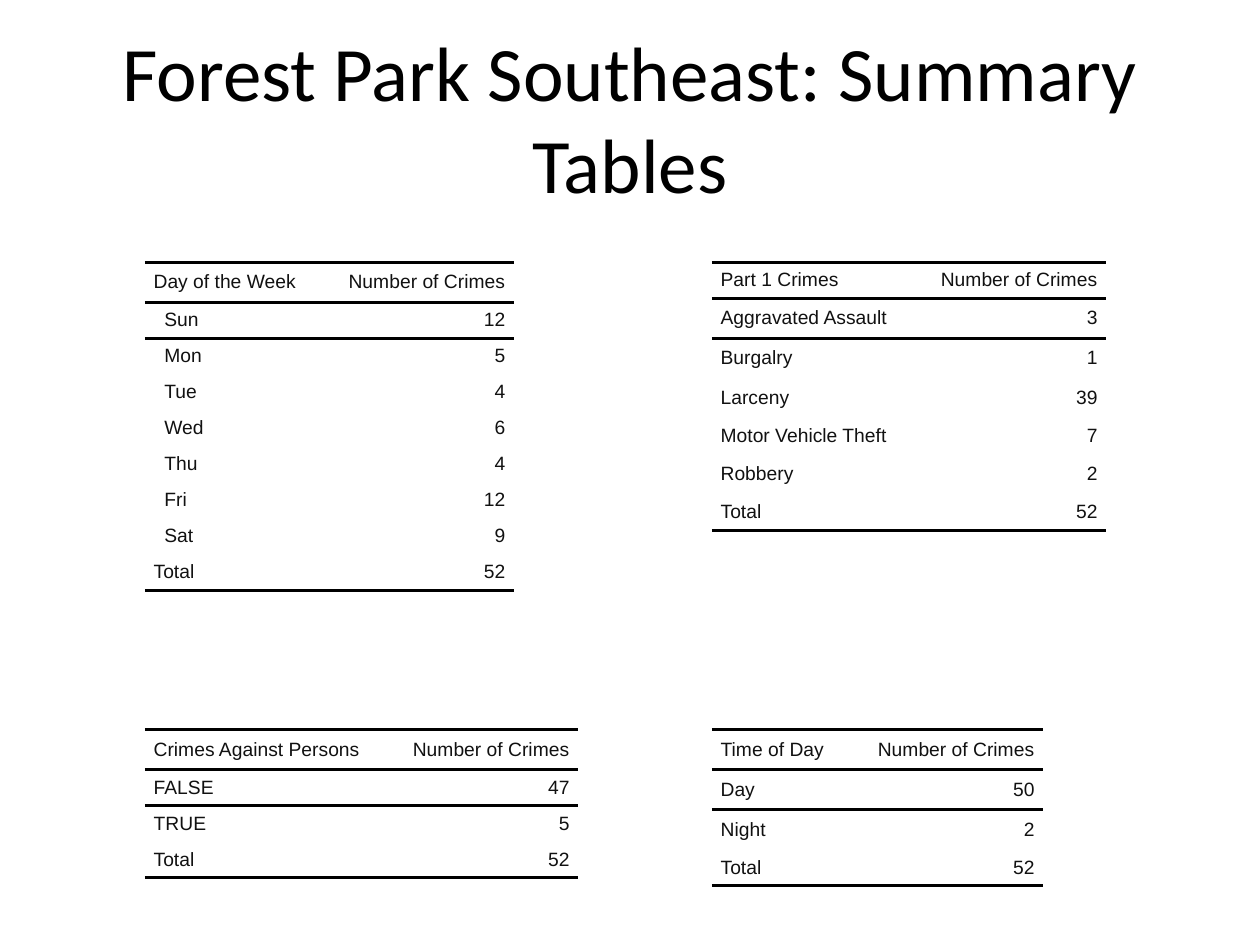
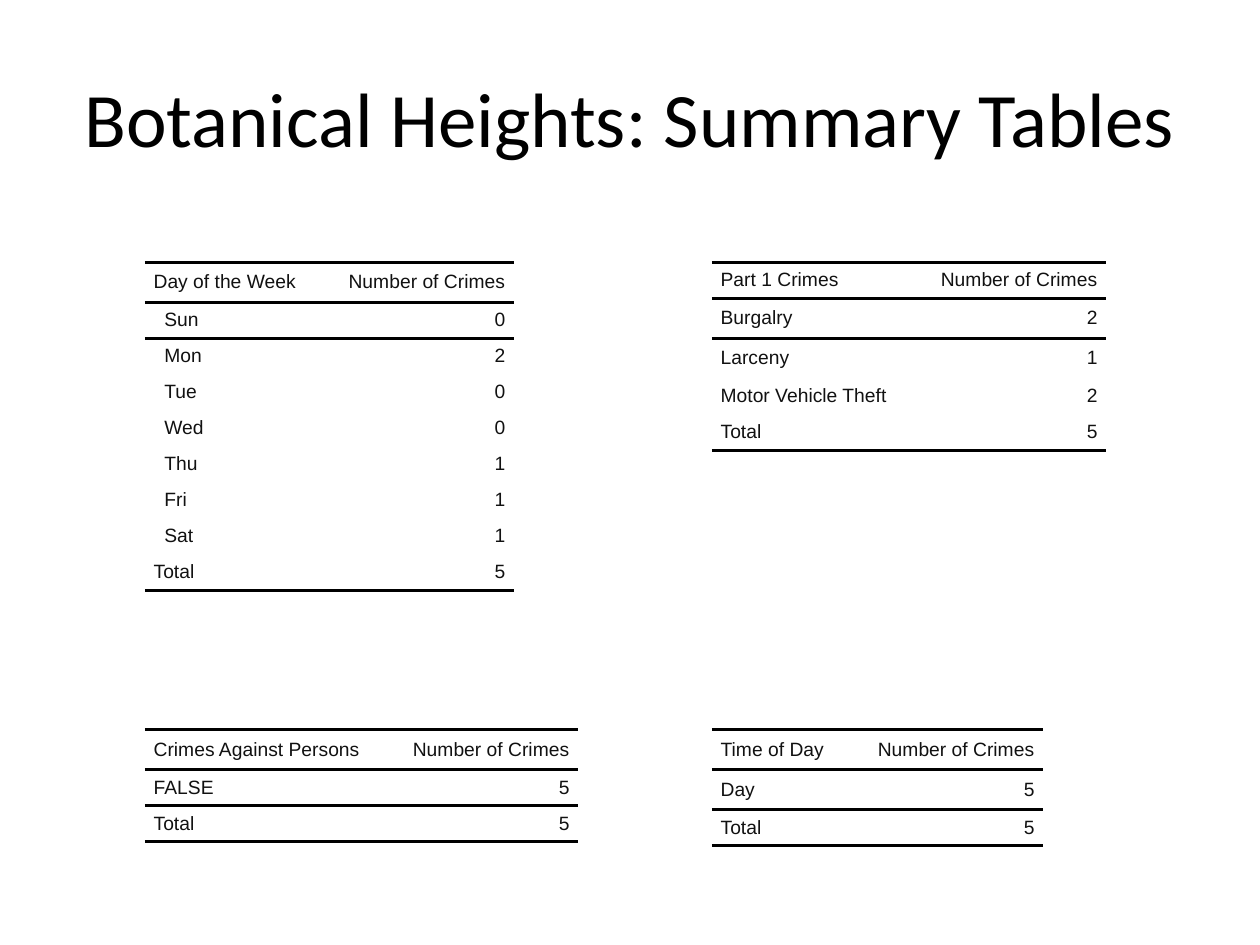
from lxml.etree import SubElement
from pptx import Presentation
from pptx.dml.color import RGBColor
from pptx.enum.text import MSO_ANCHOR, PP_ALIGN
from pptx.oxml.ns import qn
from pptx.util import Inches, Pt

CELL = Inches(0.05)
SLIDE_COLUMNS, SLIDE_ROWS = 200, 150
BLACK, TABLE_INK = "000000", "111111"
NO_STYLE = "{2D5ABB26-0587-4C30-8999-92F81FD0307C}"
LEFT, RIGHT = 23, 113
UPPER, LOWER = 41.6, 115.8
COUNT_WIDTH = 30.4
ROW_HEIGHT, DESCENDER_HEIGHT = 5.72, 6.36
SIDE_MARGIN, DAY_MARGIN = 5, 11.1
DAYS = ("Sun", "Mon", "Tue", "Wed", "Thu", "Fri", "Sat")

TABLE_SLOTS = {
    "Part 1 Crimes": (RIGHT, UPPER, 32.2),
    "Day of the Week": (LEFT, UPPER, 28.2),
    "Crimes Against Persons": (LEFT, LOWER, 38.4),
    "Time of Day": (RIGHT, LOWER, 22.2),
}

NEIGHBORHOODS = {
    "Forest Park Southeast": {
        "Part 1 Crimes": {
            "Aggravated Assault": 3,
            "Burgalry": 1,
            "Larceny": 39,
            "Motor Vehicle Theft": 7,
            "Robbery": 2,
        },
        "Day of the Week": dict(zip(DAYS, (12, 5, 4, 6, 4, 12, 9))),
        "Crimes Against Persons": {"FALSE": 47, "TRUE": 5},
        "Time of Day": {"Day": 50, "Night": 2},
    },
    "Botanical Heights": {
        "Part 1 Crimes": {"Burgalry": 2, "Larceny": 1, "Motor Vehicle Theft": 2},
        "Day of the Week": dict(zip(DAYS, (0, 2, 0, 0, 1, 1, 1))),
        "Crimes Against Persons": {"FALSE": 5},
        "Time of Day": {"Day": 5},
    },
}


def grid(steps):
    return round(steps * CELL)


def color(value):
    return RGBColor.from_string(value)


def add_span(para, text, font, size, ink):
    span = para.add_run()
    span.text = text
    span.font.name = font
    span.font.size = Pt(size)
    span.font.color.rgb = color(ink)


def add_title(page, text):
    box = page.shapes.add_textbox(grid(10), grid(6), grid(180), grid(25))
    frame = box.text_frame
    frame.word_wrap = True
    frame.vertical_anchor = MSO_ANCHOR.MIDDLE
    para = frame.paragraphs[0]
    para.alignment = PP_ALIGN.CENTER
    add_span(para, text, "Calibri", 44, BLACK)


def add_rule(cell, side):
    properties = cell._tc.get_or_add_tcPr()
    line = SubElement(properties, qn(f"a:ln{side}"), w=str(Pt(2)))
    fill = SubElement(line, qn("a:solidFill"))
    SubElement(fill, qn("a:srgbClr"), val=BLACK)


def fill_cell(cell, text, alignment, margin, rules):
    cell.margin_left = cell.margin_right = cell.margin_top = cell.margin_bottom = 0
    cell.vertical_anchor = MSO_ANCHOR.MIDDLE
    for side in rules:
        add_rule(cell, side)
    cell.fill.background()
    para = cell.text_frame.paragraphs[0]
    para.alignment = alignment
    properties = para._p.get_or_add_pPr()
    properties.set("marL", str(Pt(margin)))
    properties.set("marR", str(Pt(SIDE_MARGIN)))
    add_span(para, text, "Arial", 11, TABLE_INK)


def row_height(label):
    return DESCENDER_HEIGHT if set(label) & set("gy") else ROW_HEIGHT


def add_summary_table(page, heading, counts):
    left, top, label_width = TABLE_SLOTS[heading]
    rows = [(heading, "Number of Crimes"), *counts.items(), ("Total", sum(counts.values()))]
    heights = [row_height(label) for label, _ in rows]
    widths = (label_width, COUNT_WIDTH)
    frame = page.shapes.add_table(
        len(rows), 2, grid(left), grid(top), grid(sum(widths)), grid(sum(heights))
    )
    table = frame.table
    table.first_row = table.horz_banding = False
    table._tbl.tblPr.find(qn("a:tableStyleId")).text = NO_STYLE
    for column, width in zip(table.columns, widths):
        column.width = grid(width)
    rules = {0: "TB", 1: "T", len(rows) - 1: "B"}
    for index, (label, count) in enumerate(rows):
        table.rows[index].height = grid(heights[index])
        margin = DAY_MARGIN if label in DAYS else SIDE_MARGIN
        sides = rules.get(index, "")
        fill_cell(table.cell(index, 0), label, PP_ALIGN.LEFT, margin, sides)
        fill_cell(table.cell(index, 1), str(count), PP_ALIGN.RIGHT, SIDE_MARGIN, sides)


def main():
    deck = Presentation()
    deck.slide_width = grid(SLIDE_COLUMNS)
    deck.slide_height = grid(SLIDE_ROWS)
    for name, tables in NEIGHBORHOODS.items():
        page = deck.slides.add_slide(deck.slide_layouts[6])
        add_title(page, f"{name}: Summary Tables")
        for heading, counts in tables.items():
            add_summary_table(page, heading, counts)
    deck.save("out.pptx")


if __name__ == "__main__":
    main()
